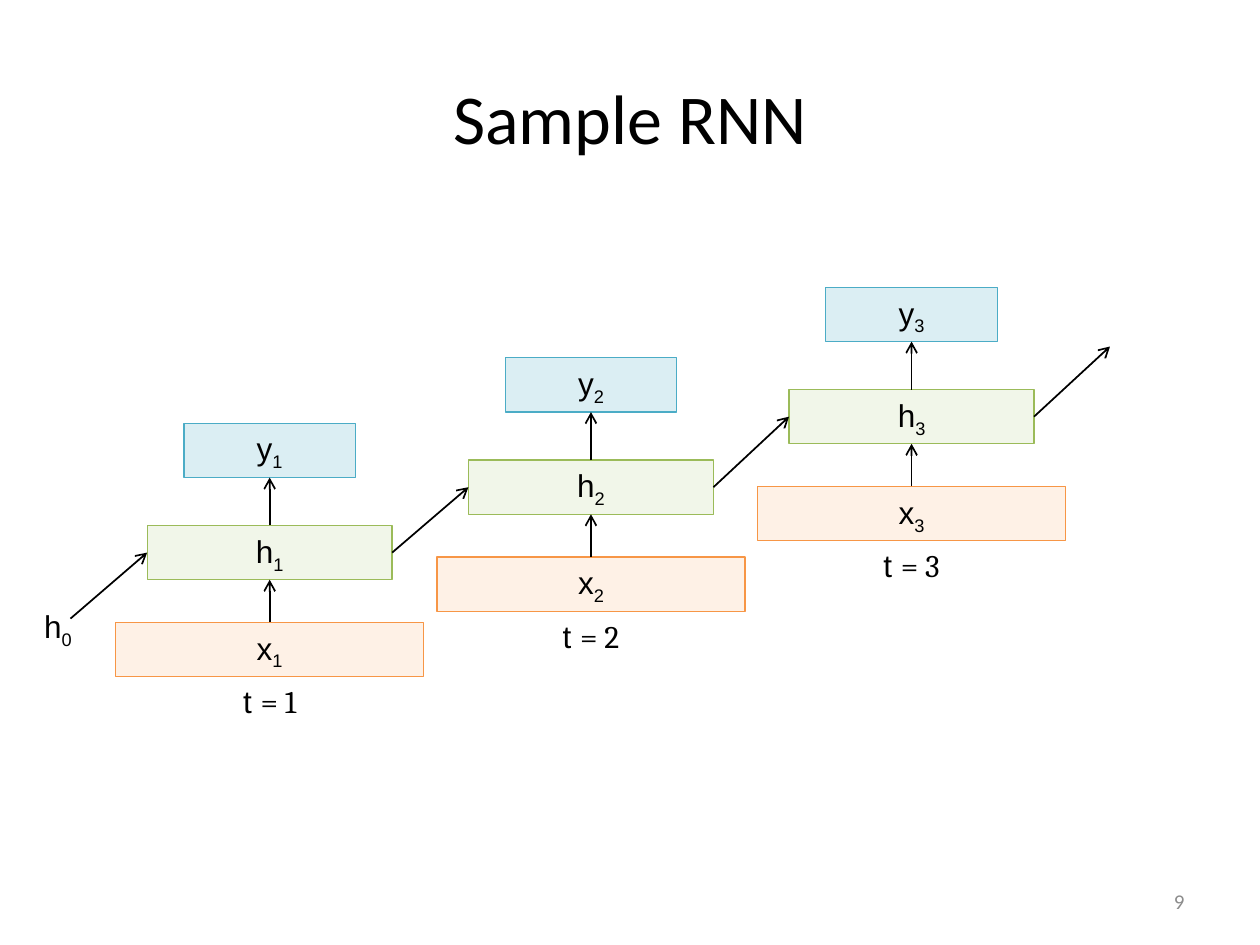
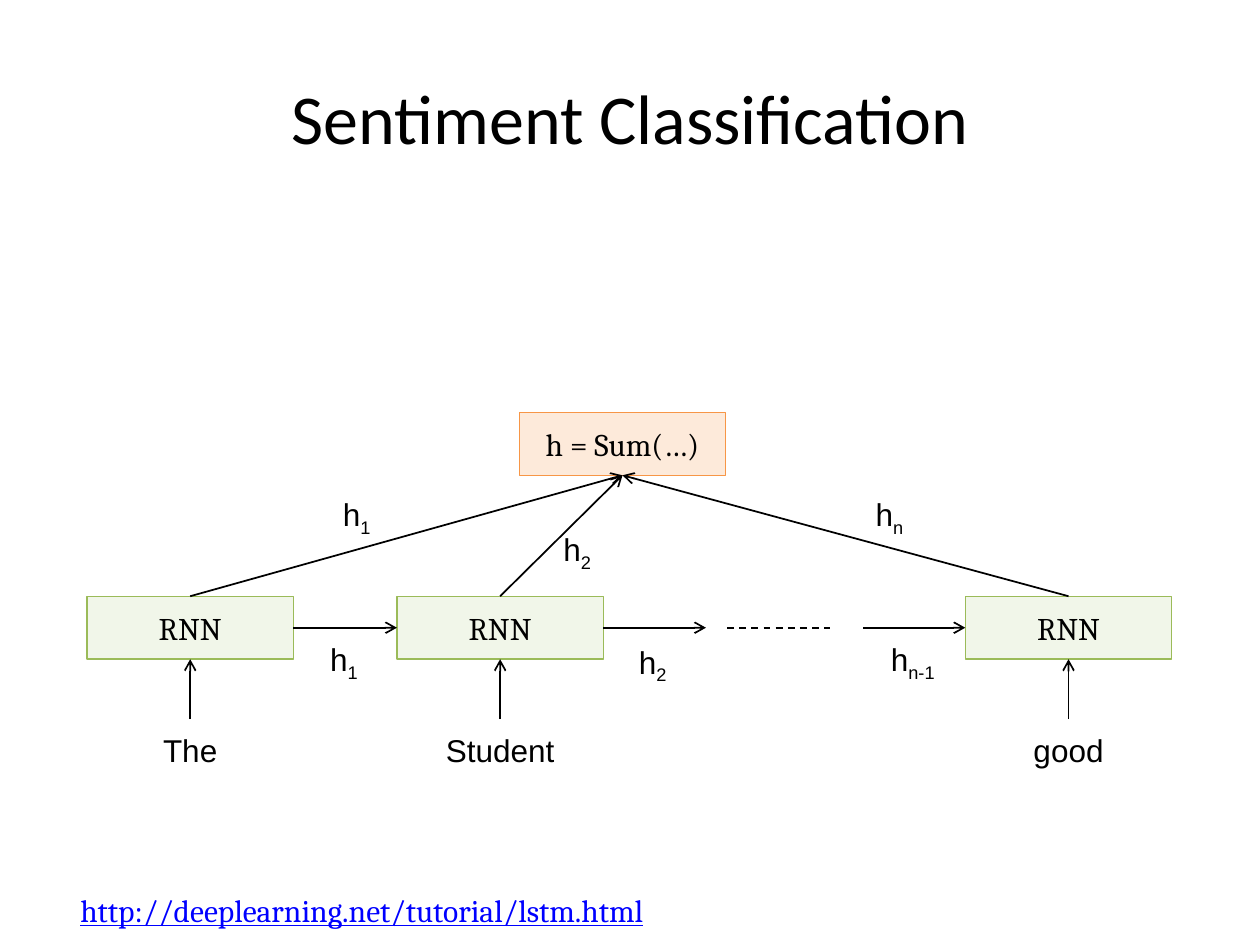
"""Build two slides on recurrent networks: an unrolled RNN and a sentiment classifier."""
from lxml.etree import SubElement
from pptx import Presentation
from pptx.dml.color import RGBColor
from pptx.enum.dml import MSO_LINE
from pptx.enum.shapes import MSO_CONNECTOR, MSO_SHAPE
from pptx.enum.text import MSO_ANCHOR, MSO_AUTO_SIZE, PP_ALIGN
from pptx.oxml.ns import qn
from pptx.util import Pt

INK = {
    "black": "000000", "gray": "8C8C8C", "link": "0000FF",
    "green": "D7E4BD", "green_rim": "9BBB59",
    "blue": "93CDDD", "blue_rim": "4BACC6",
    "peach": "FCD5B5", "amber": "FAC090",
    "peach_rim": "F79646", "amber_rim": "F79646",
}
SANS, SERIF, HEAD = "Arial", "Cambria", "Calibri"
TOP, LEFT, BOTTOM, RIGHT = range(4)


def color(name):
    return RGBColor.from_string(INK[name])


def sub(base, index):
    return [(base, SANS, False), (index, SANS, True)]


def plain(text, font=SANS):
    return [(text, font, False)]


class Deck:
    def __init__(self):
        self.file = Presentation()
        self.file.slide_width, self.file.slide_height = Pt(720), Pt(540)
        self.slide = None

    def page(self, title):
        self.slide = self.file.slides.add_slide(self.file.slide_layouts[5])
        head = self.slide.shapes.title
        head.left, head.top, head.width, head.height = Pt(36), Pt(21.6), Pt(648), Pt(90)
        head.text_frame.vertical_anchor = MSO_ANCHOR.MIDDLE
        self.fill_text(head, plain(title, HEAD), size=40)

    def fill_text(self, shape, runs, size=18, ink="black", align=PP_ALIGN.CENTER, line=None):
        para = shape.text_frame.paragraphs[0]
        para.alignment = align
        for text, font, low in runs:
            run = para.add_run()
            run.text = text
            run.font.name, run.font.size = font, Pt(size)
            run.font.color.rgb = color(ink)
            run.font.underline = line
            if low:
                run.font._element.set("baseline", "-25000")

    def box(self, mid, top, width, height, hue, runs, anchor=MSO_ANCHOR.MIDDLE):
        shape = self.slide.shapes.add_shape(
            MSO_SHAPE.RECTANGLE, Pt(mid - width / 2), Pt(top), Pt(width), Pt(height))
        shape.shadow.inherit = False
        shape.fill.solid()
        shape.fill.fore_color.rgb = color(hue)
        tint = shape.element.spPr.find(qn("a:solidFill"))[0]
        SubElement(tint, qn("a:alpha")).set("val", "33000")
        shape.line.color.rgb = color(hue + "_rim")
        shape.line.width = Pt(0.75)
        shape.text_frame.vertical_anchor = anchor
        self.fill_text(shape, runs)
        return shape

    def label(self, mid, top, width, runs, **style):
        shape = self.slide.shapes.add_textbox(
            Pt(mid - width / 2), Pt(top), Pt(width), Pt(29))
        shape.text_frame.word_wrap = False
        shape.text_frame.auto_size = MSO_AUTO_SIZE.SHAPE_TO_FIT_TEXT
        self.fill_text(shape, runs, **style)

    def line(self, start, end, dash=False):
        """Draw a line; each end is a point (x, y) or a joint (shape, side)."""
        joints = [hasattr(spot[0], "left") for spot in (start, end)]
        spots = [(0, 0) if joint else spot for joint, spot in zip(joints, (start, end))]
        link = self.slide.shapes.add_connector(
            MSO_CONNECTOR.STRAIGHT, *[Pt(value) for spot in spots for value in spot])
        if joints[0]:
            link.begin_connect(*start)
        if joints[1]:
            link.end_connect(*end)
        link.line.color.rgb = color("black")
        link.line.width = Pt(1)
        if dash:
            link.line.dash_style = MSO_LINE.DASH
        else:
            stroke = link.element.spPr.find(qn("a:ln"))
            SubElement(stroke, qn("a:tailEnd")).set("type", "arrow")
        SubElement(link.element.spPr, qn("a:effectLst"))


def sample(deck):
    deck.page("Sample RNN")
    past = (40.3, 353.5)
    for step, (mid, top) in enumerate([(154.1, 241.9), (337.7, 204.5), (520.9, 164.2)], 1):
        out, state, feed = [
            deck.box(mid, top + drop, width, 31, hue, sub(name, str(step)), MSO_ANCHOR.TOP)
            for name, drop, width, hue in [
                ("y", 0, 98, "blue"), ("h", 58.4, 140, "green"), ("x", 113.8, 176, "peach")]]
        deck.line((feed, TOP), (state, BOTTOM))
        deck.line((state, TOP), (out, BOTTOM))
        deck.line(past, (state, LEFT))
        deck.label(mid, top + 144.5, 56, plain("t ") + plain(f"= {step}", SERIF))
        past = (state, RIGHT)
    deck.line(past, (634.3, 198))
    deck.label(33.1, 343.4, 34.6, sub("h", "0"))
    deck.label(599.9, 504, 168, plain("9", HEAD), size=12, ink="gray", align=PP_ALIGN.RIGHT)


def sentiment(deck):
    deck.page("Sentiment Classification")
    total = deck.box(355.7, 235.6, 118, 36, "amber", plain("h = Sum(…)", SERIF))
    cells = []
    for mid, word, width in [(108.7, "The", 50), (285.8, "Student", 77), (610.6, "good", 58)]:
        cell = deck.box(mid, 340.7, 118, 36, "green", plain("RNN", SERIF))
        deck.line((mid, 411), (cell, BOTTOM))
        deck.line((cell, TOP), (total, BOTTOM))
        deck.label(mid, 414, width, plain(word))
        cells.append(cell)
    first, second, last = cells
    row = 358.7
    deck.line((first, RIGHT), (second, LEFT))
    deck.line((second, RIGHT), (403.4, row))
    deck.line((415.5, row), (474.5, row), dash=True)
    deck.line((493.2, row), (last, LEFT))
    for mid, top, index in [(196.6, 362.2, "1"), (373, 363.6, "2"), (521.6, 362.2, "n-1"),
                            (203.8, 279.4, "1"), (329.8, 299.5, "2"), (508.3, 279.4, "n")]:
        deck.label(mid, top, 45 if index == "n-1" else 34.6, sub("h", index))
    deck.label(211.3, 505.4, 345, plain("http://deeplearning.net/tutorial/lstm.html", SERIF),
               ink="link", align=PP_ALIGN.LEFT, line=True)


def main():
    deck = Deck()
    sample(deck)
    sentiment(deck)
    deck.file.save("out.pptx")


if __name__ == "__main__":
    main()
